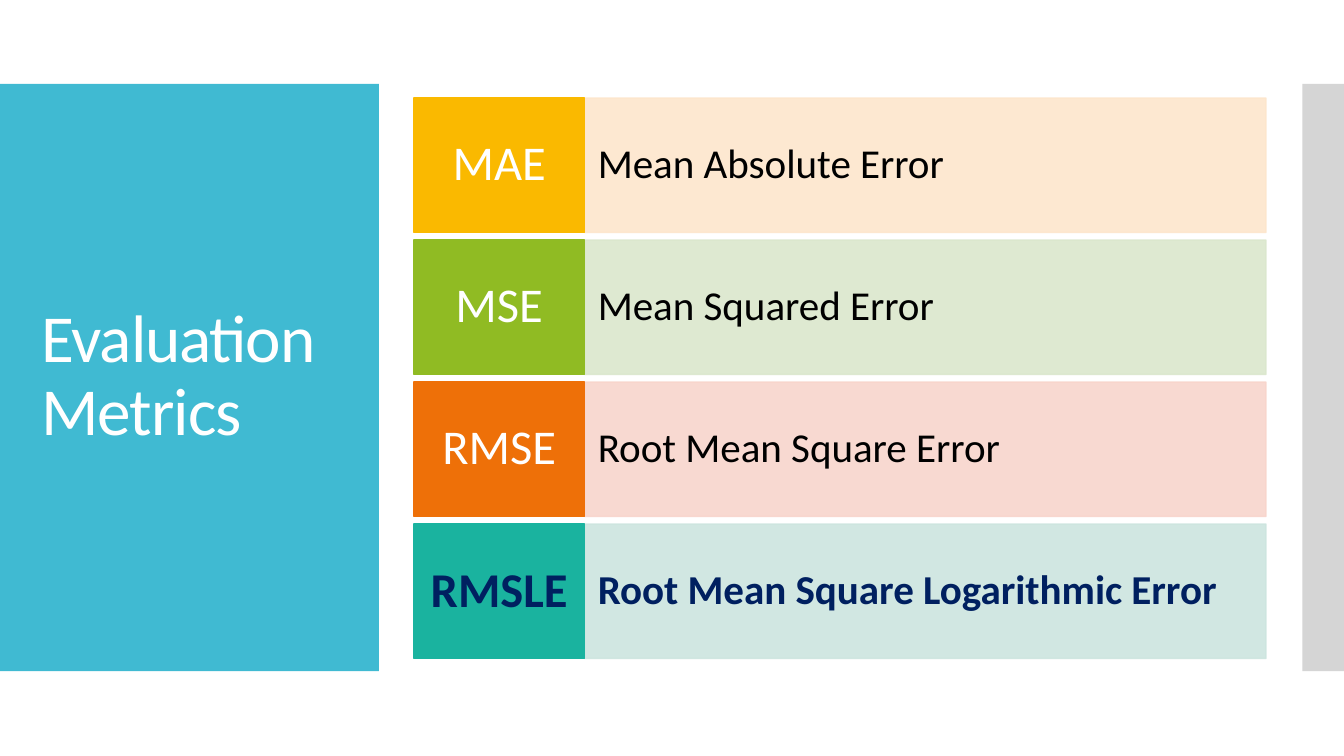
"""Build the Evaluation Metrics slide."""
from lxml import etree
from pptx import Presentation
from pptx.dml.color import RGBColor
from pptx.enum.shapes import MSO_SHAPE
from pptx.enum.text import MSO_ANCHOR, MSO_AUTO_SIZE, PP_ALIGN
from pptx.oxml.ns import qn
from pptx.util import Inches, Pt

RECT = MSO_SHAPE.RECTANGLE
MIDDLE = MSO_ANCHOR.MIDDLE
NO_FIT = MSO_AUTO_SIZE.NONE
LEFT, CENTER = PP_ALIGN.LEFT, PP_ALIGN.CENTER
WIDTH = 10
HEIGHT = WIDTH * 9 / 16
PANEL_TOP, PANEL_H = HEIGHT / 9, 4.37
COLUMNS = [(3.08, 1.27), (4.35, 5.07)]
ROW_TOP, ROW_H = 0.73, 1
ROW_STEP = (3.9 - ROW_TOP) / 3

METRICS = [
    ("MAE", "Mean Absolute Error", "FAB900", "FDE6CC"),
    ("MSE", "Mean Squared Error", "90BB23", "DBE7CD"),
    ("RMSE", "Root Mean Square Error", "EE7008", "F8D5CC"),
    ("RMSLE", "Root Mean Square Logarithmic Error", "1AB39F", "CDE5DF"),
]


def add_box(x, y, w, h, color, alpha=100, outlined=False):
    sp = s.shapes.add_shape(RECT, Inches(x), Inches(y), Inches(w), Inches(h))
    sp.shadow.inherit = False
    sp.fill.solid()
    sp.fill.fore_color.rgb = RGBColor.from_string(color)
    if outlined:
        sp.line.color.rgb = RGBColor.from_string(color)
        sp.line.width = Pt(0.85)
    else:
        sp.line.fill.background()
    if alpha < 100:
        for clr in sp.element.spPr.iter(qn("a:srgbClr")):
            etree.SubElement(clr, qn("a:alpha")).set("val", str(alpha * 1000))
    return sp


def set_text(sp, text, size, color, align=LEFT, bold=False):
    tf = sp.text_frame
    tf.text = text
    tf.word_wrap = True
    tf.auto_size = NO_FIT
    tf.vertical_anchor = MIDDLE
    p = tf.paragraphs[0]
    p.alignment = align
    p.line_spacing = 0.9
    r = p.runs[0]
    r.font.name = "Calibri"
    r.font.size = Pt(size)
    r.font.bold = bold
    r.font.color.rgb = RGBColor.from_string(color)


prs = Presentation()
prs.slide_width, prs.slide_height = Inches(WIDTH), Inches(HEIGHT)
s = prs.slides.add_slide(prs.slide_layouts[5])

add_box(0, PANEL_TOP, 2.82, PANEL_H, "40BAD2")
add_box(9.69, PANEL_TOP, 0.32, PANEL_H, "D5D5D5")

title = s.shapes.title
title.left, title.top = Inches(0.21), Inches(0.92)
title.width, title.height = Inches(2.42), Inches(3.77)
set_text(title, "Evaluation Metrics", 36, "FFFFFF")
for props in title.element.iter(qn("a:rPr")):
    props.set("spc", "-60")
title.element.getparent().append(title.element)

for row, (short, name, strong, pale) in enumerate(METRICS):
    y = ROW_TOP + row * ROW_STEP
    key = short == "RMSLE"
    (label_x, label_w), (name_x, name_w) = COLUMNS
    sp = add_box(name_x, y, name_w, ROW_H, pale, alpha=90, outlined=True)
    set_text(sp, name, 22, "002060" if key else "000000", bold=key)
    sp = add_box(label_x, y, label_w, ROW_H, strong, outlined=True)
    set_text(sp, short, 26, "002060" if key else "FFFFFF", CENTER, key)
    sp.text_frame.margin_left = sp.text_frame.margin_right = Inches(0.07)

prs.save("out.pptx")
